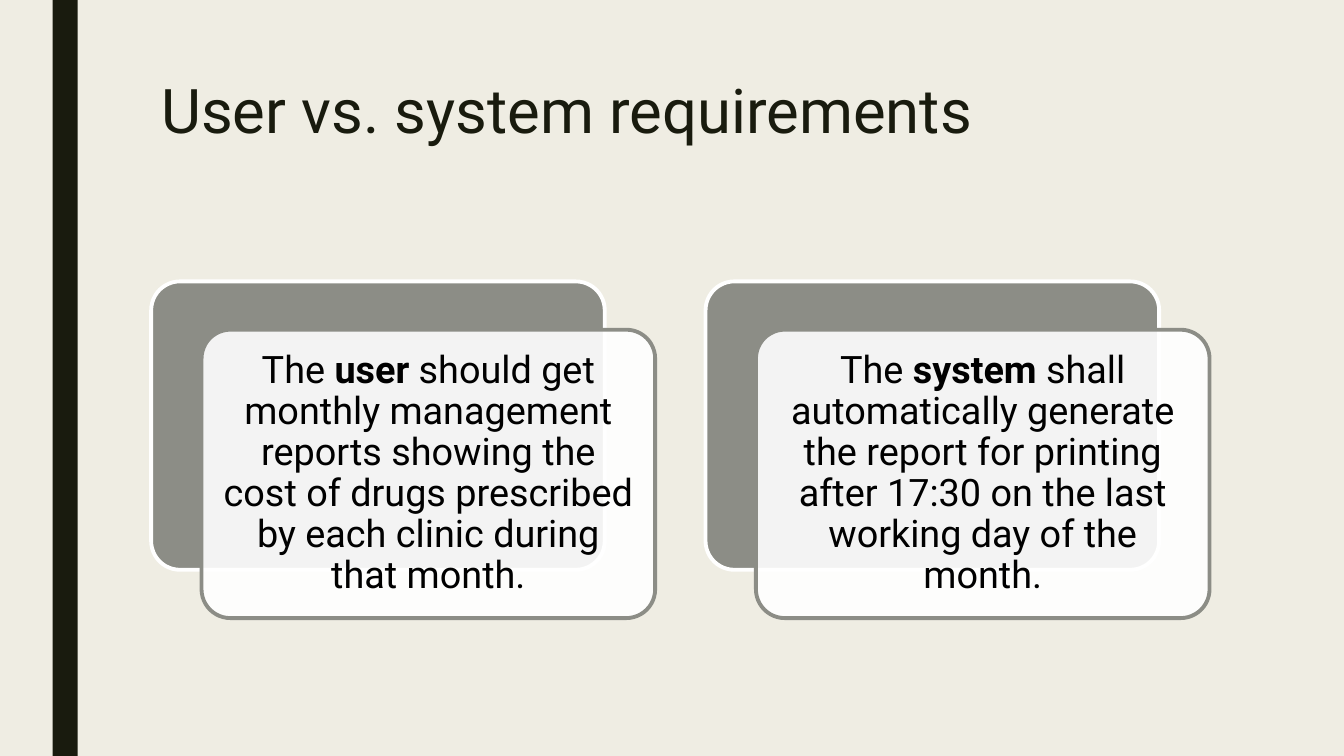
"""Build a slide that contrasts a user requirement with a system requirement."""
from lxml import etree
from pptx import Presentation
from pptx.dml.color import RGBColor
from pptx.enum import shapes, text
from pptx.oxml import ns
from pptx.util import Pt

CREAM = RGBColor(0xEF, 0xED, 0xE3)
DARK = RGBColor(0x19, 0x1B, 0x0E)
GREY = RGBColor(0x8C, 0x8D, 0x86)
WHITE = RGBColor(0xFF, 0xFF, 0xFF)
BLACK = RGBColor(0x00, 0x00, 0x00)

CARD_WIDTH, CARD_HEIGHT = 324, 206
CARD_LEFT, CARD_TOP, CARD_PITCH = 108, 201, 396
OFFSET_X, OFFSET_Y = 36, 34.5

REQUIREMENTS = [
    ("The ", "user", " should get monthly management reports showing the cost "
     "of drugs prescribed by each clinic during that month."),
    ("The ", "system", " shall automatically generate the report for printing "
     "after 17:30 on the last working day of the month."),
]


def add_card(left, top, fill, line):
    card = slide.shapes.add_shape(
        shapes.MSO_SHAPE.ROUNDED_RECTANGLE,
        Pt(left), Pt(top), Pt(CARD_WIDTH), Pt(CARD_HEIGHT))
    card.adjustments[0] = 0.1
    card.shadow.inherit = False
    card.fill.solid()
    card.fill.fore_color.rgb = fill
    card.line.color.rgb = line
    card.line.width = Pt(2.75)
    return card


def add_run(paragraph, content, **font_format):
    run = paragraph.add_run()
    run.text = content
    run.font.color.rgb = font_format.pop("color")
    for name, value in font_format.items():
        setattr(run.font, name, value)


presentation = Presentation()
presentation.slide_width = Pt(960)
presentation.slide_height = Pt(540)
slide = presentation.slides.add_slide(presentation.slide_layouts[5])
slide.background.fill.solid()
slide.background.fill.fore_color.rgb = CREAM

side_bar = slide.shapes.add_shape(
    shapes.MSO_SHAPE.RECTANGLE, Pt(37.5), Pt(0), Pt(18), Pt(540))
side_bar.shadow.inherit = False
side_bar.fill.solid()
side_bar.fill.fore_color.rgb = DARK
side_bar.line.fill.background()

title = slide.shapes.title
title_box = {"left": 108, "top": 54, "width": 756, "height": 117}
for name, value in title_box.items():
    setattr(title, name, Pt(value))
title.text_frame.vertical_anchor = text.MSO_ANCHOR.TOP
title_paragraph = title.text_frame.paragraphs[0]
title_paragraph.alignment = text.PP_ALIGN.LEFT
title_paragraph.line_spacing = 0.89
add_run(title_paragraph, "User vs. system requirements",
        name="Roboto", size=Pt(44), color=DARK)

for index, parts in enumerate(REQUIREMENTS):
    left = CARD_LEFT + index * CARD_PITCH
    add_card(left, CARD_TOP, GREY, WHITE)
    front_card = add_card(left + OFFSET_X, CARD_TOP + OFFSET_Y, WHITE, GREY)
    white_fill = front_card.fill._xPr.find(ns.qn("a:solidFill"))
    etree.SubElement(white_fill[0], ns.qn("a:alpha"), val="90000")

    frame = front_card.text_frame
    frame.word_wrap = True
    frame.vertical_anchor = text.MSO_ANCHOR.MIDDLE
    for side in ("left", "top", "right", "bottom"):
        setattr(frame, f"margin_{side}", Pt(8))
    paragraph = frame.paragraphs[0]
    paragraph.alignment = text.PP_ALIGN.CENTER
    paragraph.line_spacing = 0.9
    for position, part in enumerate(parts):
        add_run(paragraph, part, name="Roboto", size=Pt(27),
                bold=position == 1, color=BLACK)

presentation.save("out.pptx")
